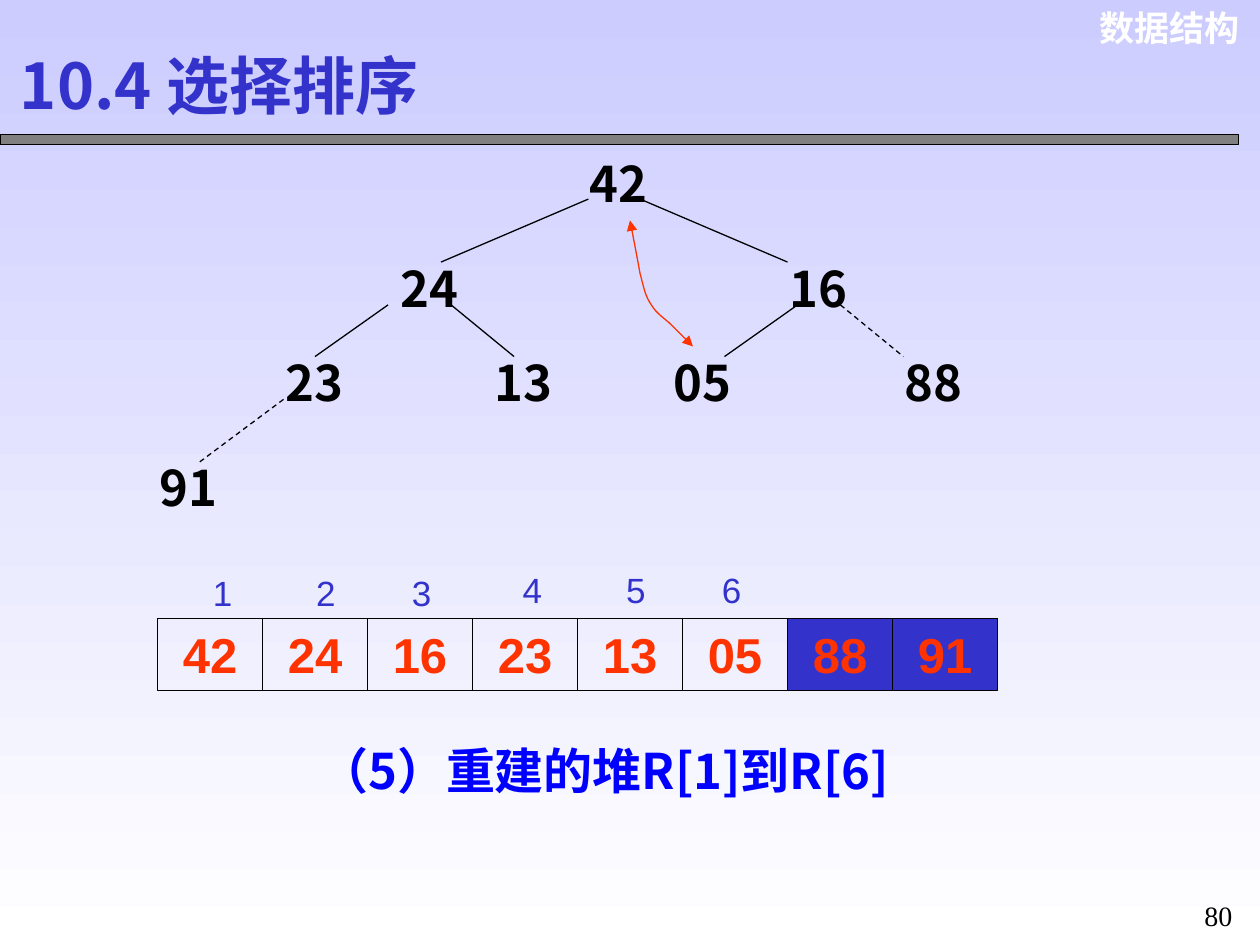
"""Build the heap sort slide: a rebuilt heap as a tree and as an array."""
from dataclasses import dataclass

from lxml import etree
from pptx import Presentation
from pptx.dml.color import RGBColor
from pptx.enum.dml import MSO_LINE
from pptx.enum.shapes import MSO_CONNECTOR, MSO_SHAPE
from pptx.enum.text import MSO_ANCHOR, MSO_AUTO_SIZE, PP_ALIGN
from pptx.oxml.ns import qn
from pptx.util import Inches, Pt

LEFT, CENTER, RIGHT = PP_ALIGN.LEFT, PP_ALIGN.CENTER, PP_ALIGN.RIGHT
TOP, MIDDLE = MSO_ANCHOR.TOP, MSO_ANCHOR.MIDDLE
FIT, FIXED = MSO_AUTO_SIZE.SHAPE_TO_FIT_TEXT, MSO_AUTO_SIZE.NONE
RECT, STRAIGHT, DASH = MSO_SHAPE.RECTANGLE, MSO_CONNECTOR.STRAIGHT, MSO_LINE.DASH


@dataclass(frozen=True)
class Theme:
    black: str = "000000"
    white: str = "FFFFFF"
    sky: str = "CCCCFF"
    gray: str = "808080"
    indigo: str = "3333CC"
    blue: str = "0000FF"
    red: str = "FF3300"
    sans: str = "Arial"
    cjk: str = "Noto Sans CJK SC"
    serif: str = "Times New Roman"
    title: int = 36
    body: int = 28
    label: int = 20
    number: int = 16
    line: float = 0.75


T = Theme()


@dataclass(frozen=True)
class Node:
    text: str
    x: float
    y: float


@dataclass(frozen=True)
class Edge:
    x1: float
    y1: float
    x2: float
    y2: float
    dashed: bool = False


NODES = [
    Node("42", 4.58, 1.17), Node("24", 3.08, 2), Node("16", 6.17, 2),
    Node("23", 2.17, 2.75), Node("13", 3.83, 2.75), Node("05", 5.25, 2.75),
    Node("88", 7.08, 2.75), Node("91", 1.17, 3.58),
]
EDGES = [
    Edge(4.67, 1.58, 3.5, 2.08), Edge(5.08, 1.58, 6.25, 2.08),
    Edge(3.08, 2.42, 2.5, 2.83), Edge(3.58, 2.42, 4.08, 2.83),
    Edge(6.33, 2.42, 5.75, 2.83), Edge(6.67, 2.42, 7.17, 2.83, True),
    Edge(2.25, 3.17, 1.58, 3.67, True),
]
SWAP_CURVE = [
    (5.5, 2.75), (5.44, 2.69), (5.39, 2.64), (5.33, 2.58), (5.28, 2.53),
    (5.21, 2.49), (5.17, 2.42), (5.12, 2.35), (5.11, 2.28), (5.08, 2.17),
    (5.06, 2.06), (5.03, 1.9), (5, 1.75),
]
HEAP_SIZE = 6
ARRAY_X, ARRAY_Y, CELL_W, CELL_H = 1.25, 4.91, 5 / 6, 0.57
INDEX_X, INDEX_GROUPS = (1.59, 2.41, 3.17), ((0, 4.49), (2.46, 4.46))


def rgb(color: str) -> RGBColor:
    return RGBColor.from_string(color)


def write(tf, text: str, *, size: int = T.body, color: str = T.black, font: str = T.cjk,
          bold: bool = True, align=LEFT, anchor=TOP, wrap: bool = True, fit=FIT,
          spacing: float = 1.0) -> None:
    tf.word_wrap, tf.auto_size, tf.vertical_anchor = wrap, fit, anchor
    p = tf.paragraphs[0]
    p.alignment, p.line_spacing = align, spacing
    r = p.add_run()
    r.text = text
    r.font.name, r.font.size, r.font.bold = font, Pt(size), bold
    r.font.color.rgb = rgb(color)
    etree.SubElement(r.font._element, qn("a:ea"), typeface=T.cjk)


def add_text(s, text: str, x: float, y: float, w: float, h: float, **fmt) -> None:
    box = s.shapes.add_textbox(Inches(x), Inches(y), Inches(w), Inches(h))
    write(box.text_frame, text, **fmt)


def outline(shape, color: str = T.black) -> None:
    shape.line.color.rgb = rgb(color)
    shape.line.width = Pt(T.line)


def add_rect(s, x: float, y: float, w: float, h: float, fill: str | None = None):
    sp = s.shapes.add_shape(RECT, Inches(x), Inches(y), Inches(w), Inches(h))
    sp.shadow.inherit = False
    if fill:
        sp.fill.solid()
        sp.fill.fore_color.rgb = rgb(fill)
    else:
        sp.fill.background()
    outline(sp)
    return sp


def add_edge(s, edge: Edge) -> None:
    cx = s.shapes.add_connector(STRAIGHT, Inches(edge.x1), Inches(edge.y1),
                                Inches(edge.x2), Inches(edge.y2))
    outline(cx)
    if edge.dashed:
        cx.line.dash_style = DASH
    etree.SubElement(cx._element.spPr, qn("a:effectLst"))


def add_swap_arrow(s, points: list[tuple[float, float]]) -> None:
    start, *rest = [(Inches(x), Inches(y)) for x, y in points]
    builder = s.shapes.build_freeform(*start)
    builder.add_line_segments(rest, close=False)
    sp = builder.convert_to_shape()
    sp.shadow.inherit = False
    sp.fill.background()
    outline(sp, T.red)
    segments = list(sp._element.iter(qn("a:lnTo")))
    for i in range(0, len(segments), 3):
        curve = etree.SubElement(segments[i].getparent(), qn("a:cubicBezTo"))
        for segment in segments[i:i + 3]:
            curve.append(segment[0])
            segment.getparent().remove(segment)
    ln = sp._element.spPr.find(qn("a:ln"))
    for end in ("a:headEnd", "a:tailEnd"):
        etree.SubElement(ln, qn(end), type="triangle")


def add_background(s) -> None:
    fill = s.background.fill
    fill.gradient()
    fill.gradient_angle = 270
    for stop, color, position in zip(fill.gradient_stops, (T.sky, T.white), (0, 1)):
        stop.color.rgb = rgb(color)
        stop.position = position


def main() -> None:
    prs = Presentation()
    prs.slide_width, prs.slide_height = Inches(10), Inches(7.5)
    s = prs.slides.add_slide(prs.slide_layouts[6])
    add_background(s)
    add_text(s, "数据结构", 8.57, 0, 1.37, 0.44, size=T.label, color=T.white,
             font=T.sans, align=RIGHT)
    add_rect(s, 0, 1.07, 9.83, 0.08, T.gray)
    add_text(s, "（5）重建的堆R[1]到R[6]", 1.92, 5.83, 5.75, 0.57, color=T.blue, align=CENTER)
    for node in NODES:
        add_text(s, node.text, node.x, node.y, 0.67, 0.57)
    for edge in EDGES:
        add_edge(s, edge)
    for i, node in enumerate(NODES):
        cell = add_rect(s, ARRAY_X + i * CELL_W, ARRAY_Y, CELL_W, CELL_H,
                        T.indigo if i >= HEAP_SIZE else None)
        write(cell.text_frame, node.text, color=T.red, font=T.sans, align=CENTER)
    add_swap_arrow(s, SWAP_CURVE)
    add_text(s, "10.4 选择排序", 0.06, 0.29, 3.72, 0.75, size=T.title, color=T.indigo,
             anchor=MIDDLE, fit=FIXED)
    add_text(s, "80", 9.42, 7, 0.5, 0.45, size=T.number, font=T.serif, bold=False,
             align=CENTER, spacing=1.3)
    positions = [(x + dx, y) for dx, y in INDEX_GROUPS for x in INDEX_X]
    for i, (x, y) in enumerate(positions, start=1):
        add_text(s, str(i), x, y, 0.35, 0.44, size=T.label, color=T.indigo,
                 font=T.sans, bold=False, wrap=False)
    prs.save("out.pptx")


if __name__ == "__main__":
    main()
